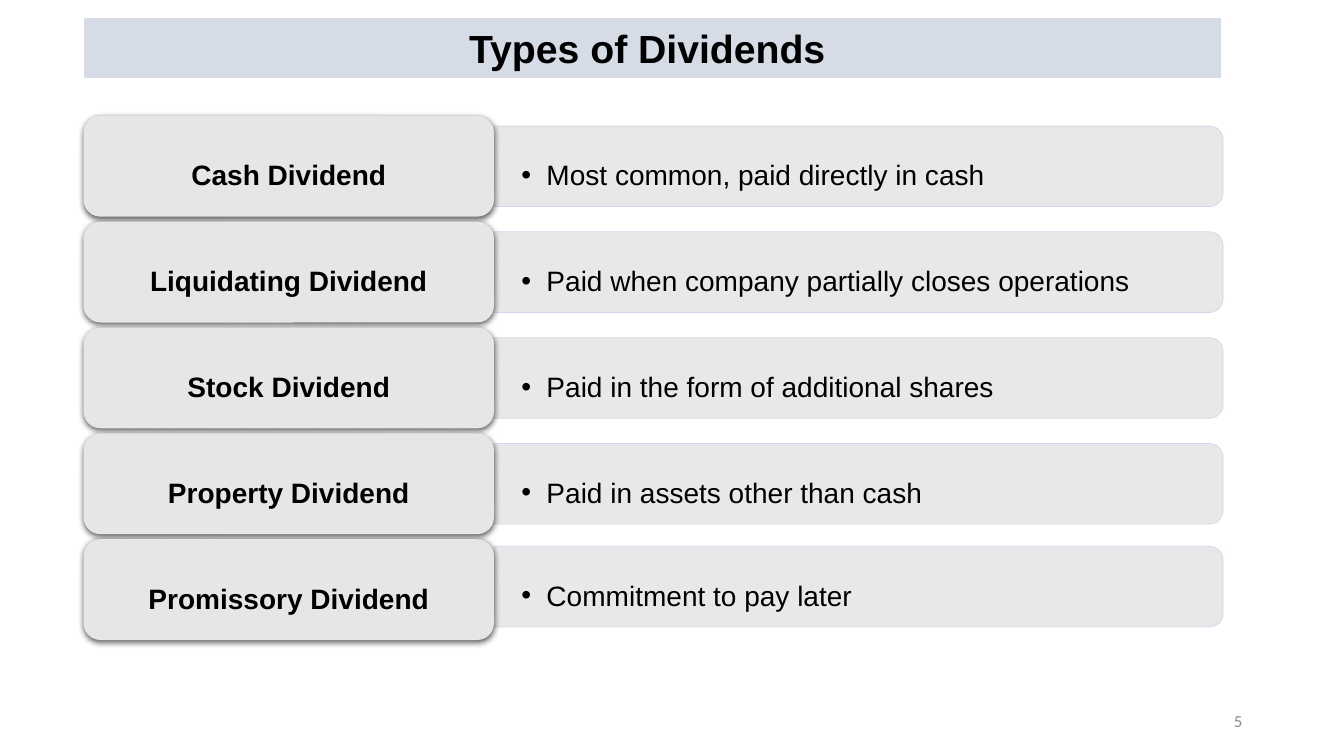
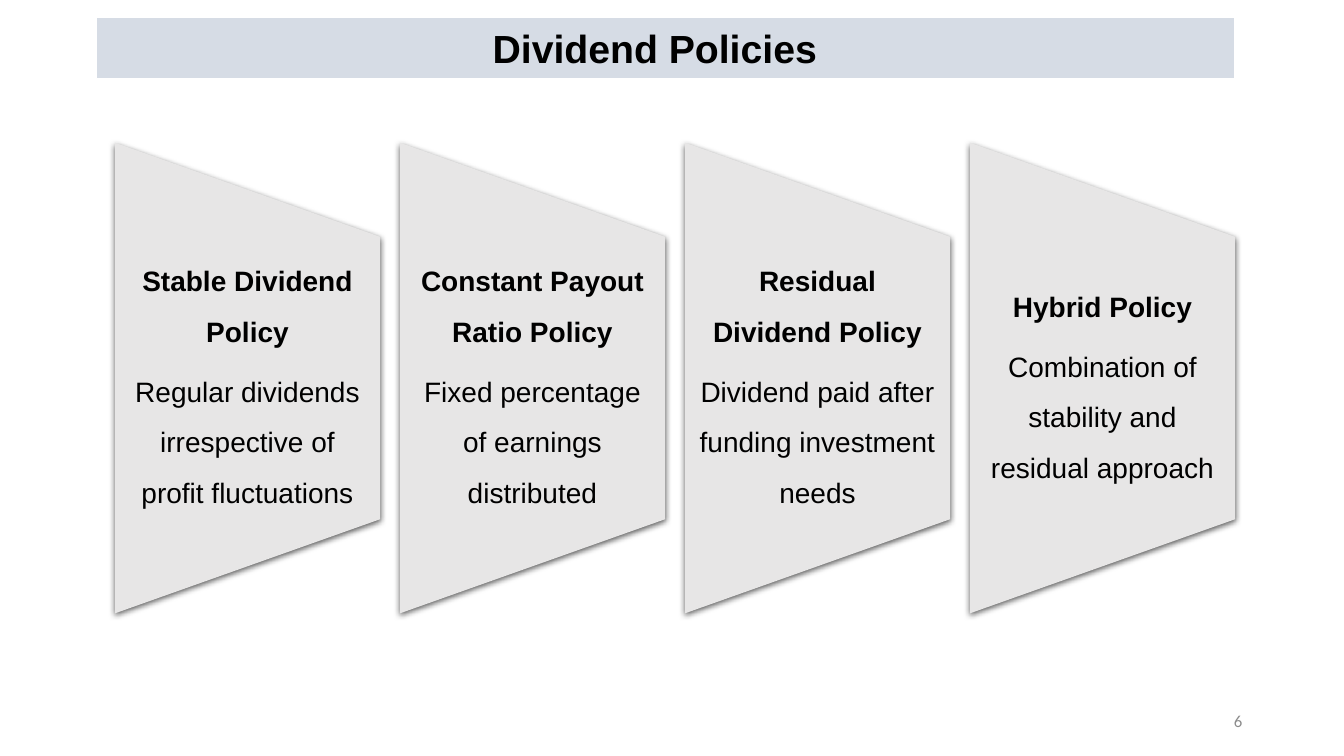
from lxml import etree
from pptx import Presentation
from pptx import util as u
from pptx.dml.color import RGBColor
from pptx.enum import shapes, text
from pptx.oxml import ns

DIVIDENDS = [
    ("Cash Dividend", "Most common, paid directly in cash"),
    ("Liquidating Dividend", "Paid when company partially closes operations"),
    ("Stock Dividend", "Paid in the form of additional shares"),
    ("Property Dividend", "Paid in assets other than cash"),
    ("Promissory Dividend", "Commitment to pay later"),
]
POLICIES = [
    ("Stable Dividend Policy", "Regular dividends irrespective of profit fluctuations"),
    ("Constant Payout Ratio Policy", "Fixed percentage of earnings distributed"),
    ("Residual Dividend Policy", "Dividend paid after funding investment needs"),
    ("Hybrid Policy", "Combination of stability and residual approach"),
]
THEME = {
    "band": "D6DCE5", "band_line": "FFFFFF", "panel": "E7E6E6", "panel_line": "CFD5EA",
    "ink": "000000", "muted": "8C8C8C",
    "font": "Arial", "number_font": "Calibri",
    "title": 28, "body": 20, "number": 12,
}
TITLE_FORMAT = {"size": u.Pt(THEME["title"]), "name": THEME["font"], "bold": True}
HEADING_FORMAT = {"size": u.Pt(THEME["body"]), "name": THEME["font"], "bold": True}
BODY_FORMAT = {**HEADING_FORMAT, "bold": False}
NUMBER_FORMAT = {"size": u.Pt(THEME["number"]), "name": THEME["number_font"]}
SPACED = {"line_spacing": 1.5, "space_after": u.Pt(7)}
CENTERED = {"alignment": text.PP_ALIGN.CENTER}
SHAPE = shapes.MSO_SHAPE


def color(key):
    return RGBColor.from_string(THEME[key])


def assign(target, values):
    for name, value in values.items():
        setattr(target, name, value)


def add_xml(parent, tag, **attributes):
    return etree.SubElement(parent, ns.qn(tag), attributes)


def set_alpha(fill, percent):
    add_xml(fill.find(".//" + ns.qn("a:srgbClr")), "a:alpha", val=str(percent * 1000))


def prepare_frame(holder, insets=(0.1, 0.05, 0.1, 0.05)):
    frame = holder.text_frame
    sides = ("margin_left", "margin_top", "margin_right", "margin_bottom")
    assign(frame, {side: u.Inches(inset) for side, inset in zip(sides, insets)})
    assign(frame, {"word_wrap": True, "vertical_anchor": text.MSO_ANCHOR.MIDDLE})
    return frame


def write(paragraph, words, font, layout, ink="ink"):
    assign(paragraph, layout)
    paragraph.text = words
    assign(paragraph.runs[0].font, font)
    paragraph.runs[0].font.color.rgb = color(ink)


def add_text_box(slide, left, top, width, height, insets=(0.1, 0.05, 0.1, 0.05)):
    box = slide.shapes.add_textbox(*map(u.Inches, (left, top, width, height)))
    return prepare_frame(box, insets)


def add_block(slide, kind, center, size, fill, rotation=0, line=None, weight=0.5):
    (x, y), (width, height) = center, size
    block = slide.shapes.add_shape(
        kind, *map(u.Inches, (x - width / 2, y - height / 2, width, height)))
    block.rotation = rotation
    block.shadow.inherit = False
    block.fill.solid()
    block.fill.fore_color.rgb = color(fill)
    if line:
        block.line.color.rgb = color(line)
        block.line.width = u.Pt(weight)
    else:
        block.line.fill.background()
    return block


def drop_shadow(block):
    effects = block._element.spPr.find(ns.qn("a:effectLst"))
    shadow = add_xml(effects, "a:outerShdw", blurRad=str(u.Pt(4.5)), dist=str(u.Pt(1.5)),
                     dir="5400000", algn="ctr", rotWithShape="0")
    ink = add_xml(shadow, "a:srgbClr", val=THEME["ink"])
    add_xml(ink, "a:alpha", val="63000")


def add_bullet(paragraph):
    properties = paragraph._p.get_or_add_pPr()
    assign(paragraph, {"level": 1, "line_spacing": 1.5, "space_after": u.Pt(3)})
    properties.set("marL", str(u.Inches(0.25)))
    properties.set("indent", str(u.Inches(-0.25)))
    add_xml(properties, "a:buFont", typeface=THEME["font"])
    add_xml(properties, "a:buChar", char="•")


def start_slide(deck, title, number, band_left, title_right_inset):
    slide = deck.slides.add_slide(deck.slide_layouts[6])
    width, height = 11.29, 0.61
    band = add_block(slide, SHAPE.RECTANGLE, (band_left + width / 2, 0.17 + height / 2),
                     (width, height), "band", line="band_line", weight=1)
    frame = prepare_frame(band, (0.1, 0.05, title_right_inset, 0.05))
    write(frame.paragraphs[0], title, TITLE_FORMAT, CENTERED)
    footer = add_text_box(slide, 9.42, 6.95, 3, 0.4)
    write(footer.paragraphs[0], str(number), NUMBER_FORMAT,
          {"alignment": text.PP_ALIGN.RIGHT}, "muted")
    return slide


def build_types(deck):
    slide = start_slide(deck, "Types of Dividends", 5, 0.83, 0.21)
    left, first_middle, pitch = 0.83, 1.65, 1.05
    card_width, card_height = 4.07, 1
    bar_length, bar_height, last_bar_lift = 7.23, 0.8, 0.03
    bar_left = left + card_width
    for row, (name, meaning) in enumerate(DIVIDENDS):
        middle = first_middle + row * pitch
        bar_middle = middle - (last_bar_lift if row == len(DIVIDENDS) - 1 else 0)
        bar = add_block(slide, SHAPE.ROUND_2_SAME_RECTANGLE,
                        (bar_left + bar_length / 2, bar_middle),
                        (bar_height, bar_length), "panel", 90, "panel_line")
        properties = bar._element.spPr
        set_alpha(properties.find(ns.qn("a:solidFill")), 90)
        set_alpha(properties.find(ns.qn("a:ln")), 90)
        detail = add_text_box(slide, bar_left, bar_middle - 0.36, 7.19, 0.72,
                              (0.27, 0.14, 0.27, 0.14)).paragraphs[0]
        add_bullet(detail)
        write(detail, meaning, BODY_FORMAT, {})
        card = add_block(slide, SHAPE.ROUNDED_RECTANGLE, (left + card_width / 2, middle),
                         (card_width, card_height), "panel")
        drop_shadow(card)
        frame = prepare_frame(card, (0.08, 0.04, 0.08, 0.04))
        write(frame.paragraphs[0], name, HEADING_FORMAT, {**CENTERED, **SPACED})


def build_policies(deck):
    slide = start_slide(deck, "Dividend Policies", 6, 0.96, 0.32)
    left, right, middle = 1.14, 12.25, 3.75
    panel_width, panel_height, text_height = 2.63, 4.67, 2.8
    pitch = (right - left - panel_width) / (len(POLICIES) - 1)
    for column, (name, meaning) in enumerate(POLICIES):
        panel_left = left + column * pitch
        panel = add_block(slide, SHAPE.FLOWCHART_MANUAL_OPERATION,
                          (panel_left + panel_width / 2, middle),
                          (panel_height, panel_width), "panel", 270)
        drop_shadow(panel)
        frame = add_text_box(slide, panel_left, middle - text_height / 2,
                             panel_width, text_height, (0.14, 0, 0.14, 0))
        write(frame.paragraphs[0], name, HEADING_FORMAT, {**CENTERED, **SPACED})
        write(frame.add_paragraph(), meaning, BODY_FORMAT, {**CENTERED, **SPACED})


def main():
    deck = Presentation()
    assign(deck, {"slide_width": u.Inches(13.33), "slide_height": u.Inches(7.5)})
    build_types(deck)
    build_policies(deck)
    deck.save("out.pptx")


if __name__ == "__main__":
    main()
